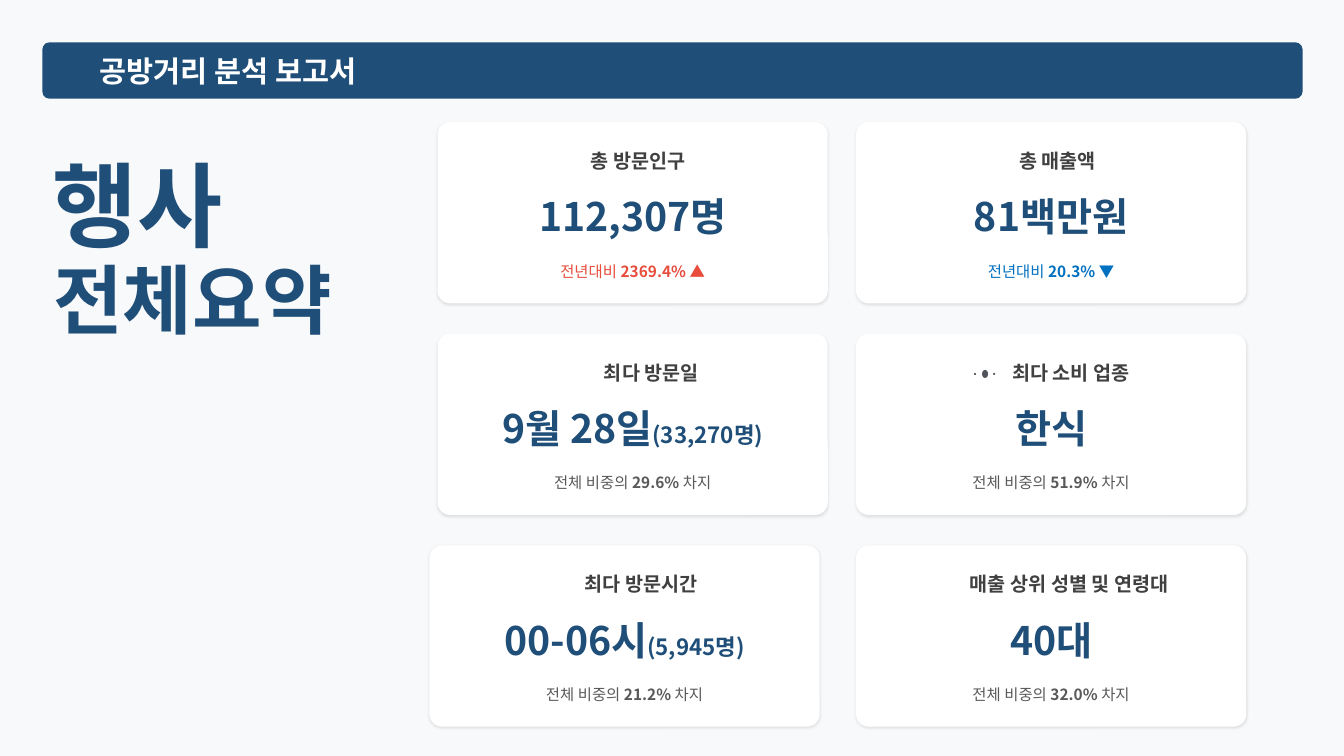
import pptx
import pptx.dml.color
import pptx.enum.shapes
import pptx.enum.text
import pptx.oxml
import pptx.oxml.ns
import pptx.util
from pptx.util import Inches

FONT = "Noto Sans CJK KR"
NAVY, WHITE, DARK, GRAY = "1F4E79", "FFFFFF", "404040", "595959"
RED, BLUE, ICON = "E74C3C", "0070C0", "51545A"
LEFT = pptx.enum.text.PP_ALIGN.LEFT
CENTER = pptx.enum.text.PP_ALIGN.CENTER
ROUNDED = pptx.enum.shapes.MSO_SHAPE.ROUNDED_RECTANGLE
OVAL = pptx.enum.shapes.MSO_SHAPE.OVAL
NAMESPACE = pptx.oxml.ns.nsdecls("a")
SHADOW = (
    f'<a:outerShdw {NAMESPACE} blurRad="25400" dist="12700" dir="5400000" algn="t" '
    'rotWithShape="0"><a:srgbClr val="000000"><a:alpha val="10000"/></a:srgbClr></a:outerShdw>'
)


def paint(target, color):
    """Fill a shape or background solidly; shapes also lose outline and shadow."""
    target.fill.solid()
    target.fill.fore_color.rgb = pptx.dml.color.RGBColor.from_string(color)
    if hasattr(target, "line"):
        target.line.fill.background()
        target.shadow.inherit = False


def write(box, spans, size, color, align=LEFT, bold=True):
    """Put one line of (text, size, bold) spans in a box; None keeps the line's own value."""
    frame = box.text_frame
    frame.word_wrap = True
    frame.auto_size = pptx.enum.text.MSO_AUTO_SIZE.NONE
    frame.vertical_anchor = pptx.enum.text.MSO_ANCHOR.MIDDLE
    frame.margin_left = frame.margin_right = frame.margin_top = frame.margin_bottom = 0
    para = frame.paragraphs[0]
    para.alignment = align
    font = para.font
    font.name, font.size, font.bold = FONT, pptx.util.Pt(size), bold
    paint(font, color)
    east_asian = f'<a:ea {NAMESPACE} typeface="{FONT}"/>'
    font._element.append(pptx.oxml.parse_xml(east_asian))
    for text, span_size, span_bold in spans:
        span = para.add_run()
        span.text = text
        if span_size:
            span.font.size = pptx.util.Pt(span_size)
        if span_bold is not None:
            span.font.bold = span_bold


deck = pptx.Presentation()
deck.slide_width, deck.slide_height = Inches(13.33), Inches(7.5)
page = deck.slides.add_slide(deck.slide_layouts[5])
shapes = page.shapes
paint(page.background, "F8F9FA")

# Header bar and headings
bar = shapes.add_shape(ROUNDED, Inches(0.42), Inches(0.42), Inches(12.5), Inches(0.56))
bar.adjustments[0] = 0.13
paint(bar, NAVY)
title = shapes.title
title.left, title.top, title.width, title.height = (
    Inches(0.99), Inches(0.49), Inches(6.57), Inches(0.43))
write(title, [("공방거리 분석 보고서", None, None)], 21, WHITE)
bar.element.addnext(title.element)

for text, size, left, top, width, height in [
    ("전체요약", 54, 0.53, 2.41, 2.96, 1.09),
    ("행사", 66, 0.52, 1.36, 2.33, 1.32),
]:
    heading = shapes.add_textbox(Inches(left), Inches(top), Inches(width), Inches(height))
    write(heading, [(text, None, None)], size, NAVY)

# Cards: row, left, label, label left, value, value detail, note spans, note colour
SHARE, CHANGE, TAIL = ("전체 비중의 ", None, None), ("전년대비 ", None, None), ("차지", None, None)
CARDS = [
    (0, 4.34, "총 방문인구", 5.86, "112,307명", "", [CHANGE, ("2369.4% ▲", None, True)], RED),
    (1, 4.34, "최다 방문일", 5.99, "9월 28일", "(33,270명)",
     [SHARE, ("29.6% ", None, True), TAIL], GRAY),
    (2, 4.26, "최다 방문시간", 5.8, "00-06시", "(5,945명)",
     [SHARE, ("21.2% ", None, True), TAIL], GRAY),
    (0, 8.49, "총 매출액", 10.11, "81백만원", "", [CHANGE, ("20.3% ▼", None, True)], BLUE),
    (1, 8.49, "최다 소비 업종", 10.04, "한식", "", [SHARE, ("51.9% ", None, True), TAIL], GRAY),
    (2, 8.49, "매출 상위 성별 및 연령대", 9.62, "40대", "",
     [SHARE, ("32.0% ", None, True), TAIL], GRAY),
]
CARD_WIDTH = Inches(3.87)
for row, left, label, label_left, value, detail, note, note_color in CARDS:
    top = 1.21 + 2.1 * row
    card = shapes.add_shape(ROUNDED, Inches(left), Inches(top), CARD_WIDTH, Inches(1.8))
    card.adjustments[0] = 0.07
    paint(card, WHITE)
    effects = card.element.spPr.find(pptx.oxml.ns.qn("a:effectLst"))
    effects.append(pptx.oxml.parse_xml(SHADOW))

    label_box = shapes.add_textbox(
        Inches(label_left), Inches(top + 0.26), Inches(2.02), Inches(0.25))
    write(label_box, [(label, None, None)], 14, DARK)

    value_box = shapes.add_textbox(Inches(left), Inches(top + 0.69), CARD_WIDTH, Inches(0.49))
    value_spans = [(value, None, None)]
    if detail:
        value_spans.append((detail, 16, None))
    write(value_box, value_spans, 28, NAVY, CENTER)

    note_box = shapes.add_textbox(Inches(left), Inches(top + 1.34), CARD_WIDTH, Inches(0.28))
    write(note_box, note, 11, note_color, CENTER, bold=False)

# Banknote icon: outlines, each a list of closed contours
BILL = [
    [(9.91, 3.75), (9.9, 3.76), (9.64, 3.76), (9.62, 3.75),
     (9.62, 3.67), (9.64, 3.66), (9.9, 3.66), (9.91, 3.67)],
    [(9.6, 3.63), (9.6, 3.79), (9.94, 3.79), (9.94, 3.63)],
]
BACK_BILL = [[(9.84, 3.56), (9.84, 3.57), (9.86, 3.57), (9.85, 3.53), (9.64, 3.61), (9.76, 3.59)]]
MIDDLE_BILL = [[(9.82, 3.62), (9.88, 3.61), (9.88, 3.62), (9.9, 3.62), (9.89, 3.58), (9.7, 3.62)]]
for contours in (BILL, BACK_BILL, MIDDLE_BILL):
    start = contours[0][0]
    builder = shapes.build_freeform(*start, scale=Inches(1))
    for contour in contours:
        if contour[0] != start:
            builder.move_to(*contour[0])
        builder.add_line_segments(contour[1:], close=True)
    paint(builder.convert_to_shape(), ICON)

for left, top, width, height in [
    (9.74, 3.67, 0.06, 0.08), (9.66, 3.7, 0.02, 0.02), (9.85, 3.7, 0.02, 0.02),
]:
    dot = shapes.add_shape(OVAL, Inches(left), Inches(top), Inches(width), Inches(height))
    paint(dot, ICON)

deck.save("out.pptx")
